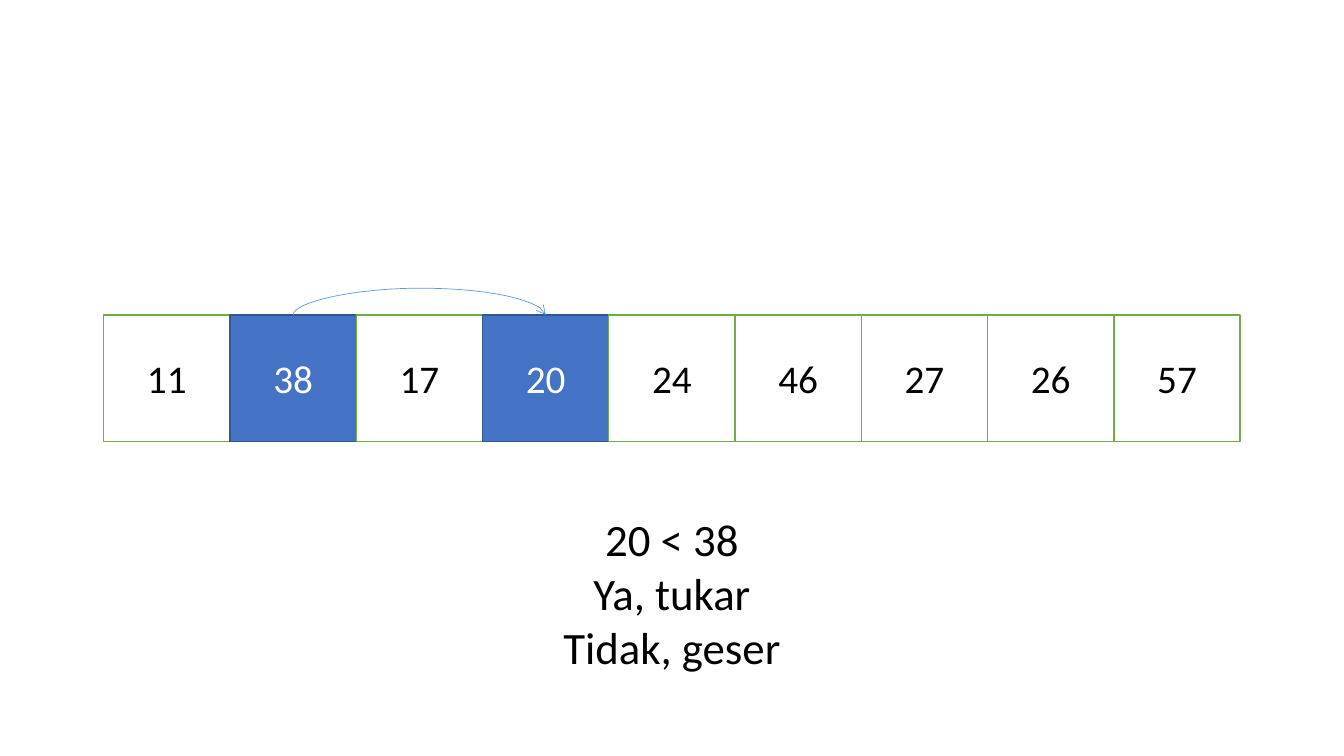
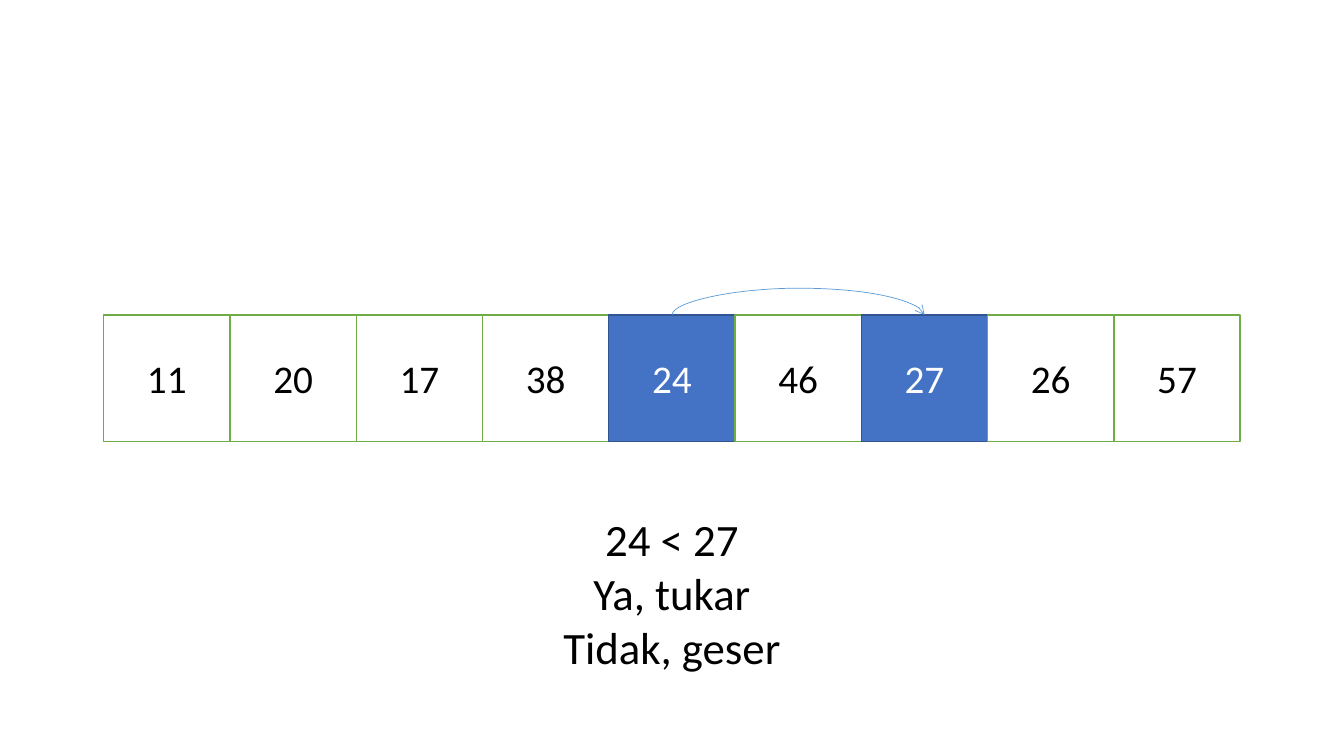
"""Build two slides that show steps of a sort with a gap of two cells."""
import pptx
import pptx.dml.color
import pptx.enum.shapes
import pptx.enum.text
import pptx.oxml
import pptx.oxml.ns
import pptx.util
from lxml import etree

Pt = pptx.util.Pt
RGBColor = pptx.dml.color.RGBColor
qn = pptx.oxml.ns.qn

STEPS = [
    {"numbers": [11, 38, 17, 20, 24, 46, 27, 26, 57], "compared": (1, 3), "question": "20 < 38"},
    {"numbers": [11, 20, 17, 38, 24, 46, 27, 26, 57], "compared": (4, 6), "question": "24 < 27"},
]
ANSWERS = ["Ya, tukar", "Tidak, geser"]

FONT = "Calibri"
BLACK = RGBColor(0x00, 0x00, 0x00)
WHITE = RGBColor(0xFF, 0xFF, 0xFF)
GREEN = RGBColor(0x70, 0xAD, 0x47)
BLUE = RGBColor(0x44, 0x72, 0xC4)
DARK_BLUE = RGBColor(0x32, 0x54, 0x91)
LIGHT_BLUE = RGBColor(0x5B, 0x9B, 0xD5)

SLIDE_WIDTH, SLIDE_HEIGHT = 960, 540
CELL_SIZE = 90.2
ROW_TOP = 225
QUESTION_TOP, QUESTION_WIDTH, QUESTION_HEIGHT = 362, 328, 124
ARC_HEIGHT = 18.9
ARC_THICKNESS = 0.25


def write_lines(text_frame, lines, size, color):
    text_frame.word_wrap = True
    text_frame.text = "\n".join(lines)
    for paragraph in text_frame.paragraphs:
        paragraph.alignment = pptx.enum.text.PP_ALIGN.CENTER
        for run in paragraph.runs:
            run.font.name = FONT
            run.font.size = Pt(size)
            run.font.color.rgb = color


def add_cell(slide, left, number, is_compared):
    fill, line, color = (BLUE, DARK_BLUE, WHITE) if is_compared else (WHITE, GREEN, BLACK)
    cell = slide.shapes.add_shape(
        pptx.enum.shapes.MSO_SHAPE.RECTANGLE, Pt(left), Pt(ROW_TOP), Pt(CELL_SIZE), Pt(CELL_SIZE))
    cell.shadow.inherit = False
    cell.fill.solid()
    cell.fill.fore_color.rgb = fill
    cell.line.color.rgb = line
    cell.line.width = Pt(1)
    cell.text_frame.vertical_anchor = pptx.enum.text.MSO_ANCHOR.MIDDLE
    write_lines(cell.text_frame, [str(number)], 28, color)


def add_question(slide, lines):
    box = slide.shapes.add_textbox(
        Pt((SLIDE_WIDTH - QUESTION_WIDTH) / 2), Pt(QUESTION_TOP), Pt(QUESTION_WIDTH), Pt(QUESTION_HEIGHT))
    write_lines(box.text_frame, lines, 32, BLACK)
    box.text_frame.auto_size = pptx.enum.text.MSO_AUTO_SIZE.SHAPE_TO_FIT_TEXT


def add_arc(slide, start, end):
    """Add a curved arrow, drawn upright and turned a quarter to the left."""
    middle, half = (start + end) / 2, (end - start) / 2
    arc = slide.shapes.add_connector(
        pptx.enum.shapes.MSO_CONNECTOR.CURVE,
        Pt(middle - ARC_THICKNESS / 2), Pt(ROW_TOP - half),
        Pt(middle + ARC_THICKNESS / 2), Pt(ROW_TOP + half))
    arc.line.color.rgb = LIGHT_BLUE
    arc.line.width = Pt(0.5)
    properties = arc._element.spPr
    properties.find(qn("a:xfrm")).set("rot", str(270 * 60000))
    guides = properties.find(qn("a:prstGeom")).get_or_add_avLst()
    bend = round(ARC_HEIGHT / ARC_THICKNESS * 100000)
    etree.SubElement(guides, qn("a:gd"), name="adj1", fmla=f"val {bend}")
    etree.SubElement(properties.find(qn("a:ln")), qn("a:tailEnd"), type="arrow")
    etree.SubElement(properties, qn("a:effectLst"))


def add_step(presentation, step):
    slide = presentation.slides.add_slide(presentation.slide_layouts[6])
    numbers = step["numbers"]
    row_left = (SLIDE_WIDTH - len(numbers) * CELL_SIZE) / 2
    for index, number in enumerate(numbers):
        add_cell(slide, row_left + index * CELL_SIZE, number, index in step["compared"])
    add_question(slide, [step["question"], *ANSWERS])
    add_arc(slide, *(row_left + (index + 0.5) * CELL_SIZE for index in step["compared"]))


def main():
    presentation = pptx.Presentation()
    presentation.slide_width = Pt(SLIDE_WIDTH)
    presentation.slide_height = Pt(SLIDE_HEIGHT)
    for step in STEPS:
        add_step(presentation, step)
    presentation.save("out.pptx")


if __name__ == "__main__":
    main()
